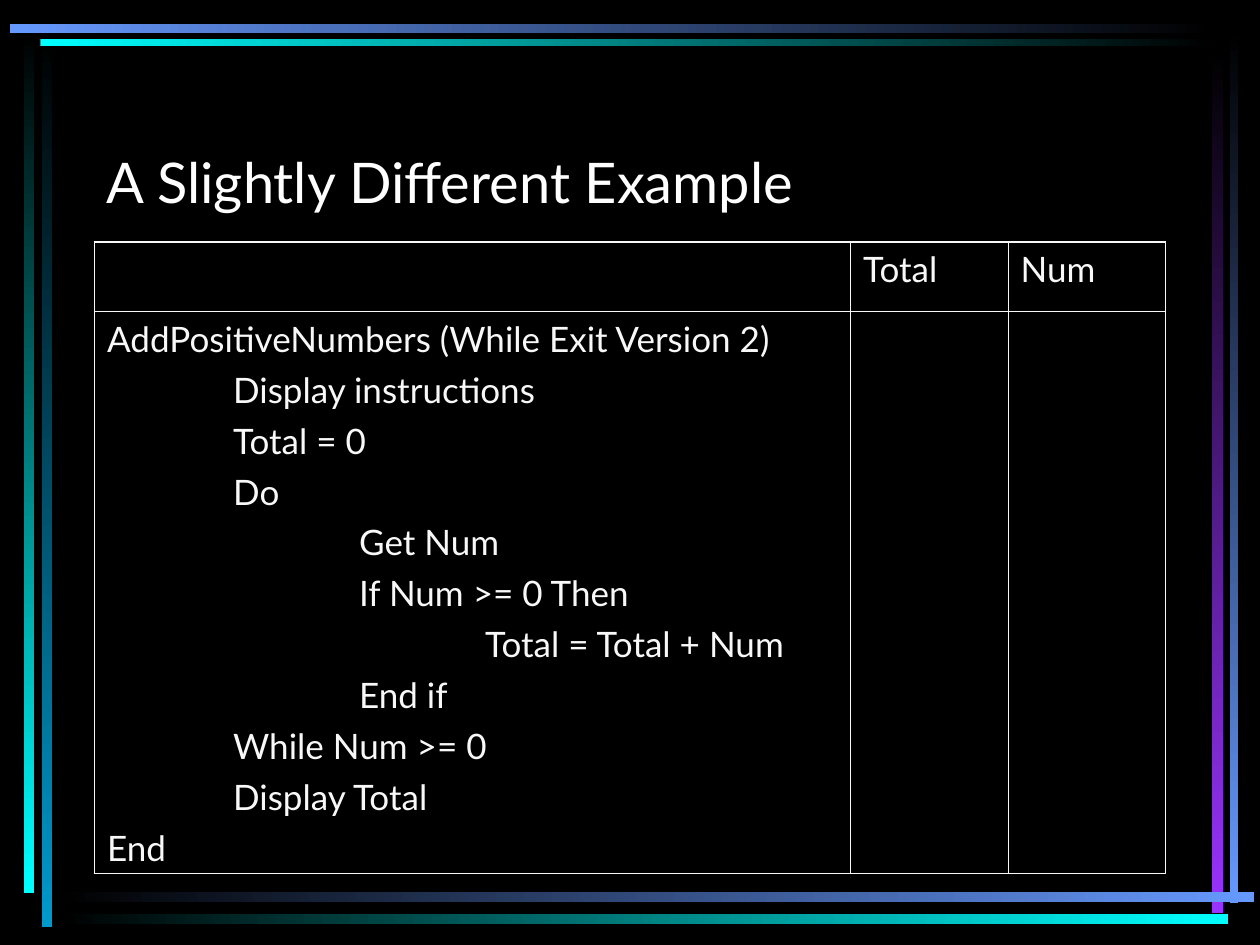
"""Build the pseudocode trace slide with its glowing frame."""
from dataclasses import dataclass

from lxml.etree import SubElement as Sub
from pptx import Presentation
from pptx.dml.color import RGBColor as Rgb
from pptx.enum.shapes import MSO_SHAPE as Kind
from pptx.enum.text import MSO_ANCHOR as Anchor
from pptx.oxml.ns import qn
from pptx.util import Inches, Pt


@dataclass(frozen=True)
class Theme:
    font: str = "Lato"
    back: str = "000000"
    white: str = "FFFFFF"
    text: str = "F8F8F8"
    cyan: str = "00FFFF"
    teal: str = "0099CC"
    blue: str = "6699FF"
    plum: str = "9933FF"
    head: float = 32
    body: float = 20
    gap: float = 5
    thick: float = 1.08
    thin: float = 0.45


@dataclass(frozen=True)
class Bar:
    left: float
    top: float
    width: float
    height: float
    start: str
    end: str


LOOK = Theme()
BARS = [
    Bar(0.33, 0.28, 0.08, 7.08, LOOK.back, LOOK.teal),
    Bar(0.19, 0.25, 0.08, 6.84, LOOK.back, LOOK.cyan),
    Bar(9.76, 0.24, 0.07, 6.93, LOOK.back, LOOK.blue),
    Bar(9.62, 0.42, 0.09, 6.83, LOOK.back, LOOK.plum),
    Bar(0.45, 7.08, 9.5, 0.08, LOOK.back, LOOK.blue),
    Bar(0.45, 7.25, 9.3, 0.08, LOOK.back, LOOK.cyan),
    Bar(0.32, 0.31, 9.32, 0.06, LOOK.cyan, LOOK.back),
    Bar(0.08, 0.19, 9.56, 0.07, LOOK.blue, LOOK.back),
]
CODE = """AddPositiveNumbers (While Exit Version 2)
\tDisplay instructions
\tTotal = 0
\tDo
\t\tGet Num
\t\tIf Num >= 0 Then
\t\t\tTotal = Total + Num
\t\tEnd if
\tWhile Num >= 0
\tDisplay Total
End"""
ROWS = [["", "Total", "Num"], [CODE, "", ""]]
WIDTHS = [6, 1.25, 1.25]
HEIGHTS = [0.55, 4.46]


def draw_bar(slide, bar: Bar) -> None:
    shape = slide.shapes.add_shape(
        Kind.RECTANGLE, Inches(bar.left), Inches(bar.top),
        Inches(bar.width), Inches(bar.height))
    shape.shadow.inherit = False
    shape.line.fill.background()
    shape.fill.gradient()
    shape.fill.gradient_angle = 270 if bar.height > bar.width else 0
    for stop, tint in zip(shape.fill.gradient_stops, (bar.start, bar.end)):
        stop.color.rgb = Rgb.from_string(tint)


def style(para, size: float, tint: str) -> None:
    for run in para.runs:
        run.font.name = LOOK.font
        run.font.size = Pt(size)
        run.font.color.rgb = Rgb.from_string(tint)


def draw_title(slide, text: str) -> None:
    box = slide.shapes.add_textbox(
        Inches(0.75), Inches(0.67), Inches(8.5), Inches(1.08))
    frame = box.text_frame
    frame.word_wrap = True
    frame.vertical_anchor = Anchor.BOTTOM
    frame.text = text
    style(frame.paragraphs[0], LOOK.head, LOOK.white)


def add_tabs(para) -> None:
    tabs = Sub(para._p.get_or_add_pPr(), qn("a:tabLst"))
    for inch in range(1, 4):
        Sub(tabs, qn("a:tab"), pos=str(Inches(inch)), algn="l")


def edge(cell, side: str, outer: bool) -> None:
    width = Pt(LOOK.thick if outer else LOOK.thin)
    line = Sub(cell._tc.get_or_add_tcPr(), qn(f"a:ln{side}"), w=str(width))
    Sub(Sub(line, qn("a:solidFill")), qn("a:srgbClr"), val=LOOK.text)


def fill_cell(cell, text: str, row: int, col: int) -> None:
    outer = {"L": col == 0, "R": col == len(WIDTHS) - 1,
             "T": row == 0, "B": row == len(HEIGHTS) - 1}
    for side, flag in outer.items():
        edge(cell, side, flag)
    cell.fill.background()
    if not text:
        return
    cell.text_frame.text = text
    for num, para in enumerate(cell.text_frame.paragraphs):
        if "\t" in text:
            add_tabs(para)
        if num:
            para.space_before = Pt(LOOK.gap)
        style(para, LOOK.body, LOOK.text)


def draw_table(slide) -> None:
    table = slide.shapes.add_table(
        len(HEIGHTS), len(WIDTHS), Inches(0.75), Inches(1.92),
        Inches(sum(WIDTHS)), Inches(sum(HEIGHTS))).table
    table.first_row = table.horz_banding = False
    for col, width in zip(table.columns, WIDTHS):
        col.width = Inches(width)
    for row, height in zip(table.rows, HEIGHTS):
        row.height = Inches(height)
    for row, texts in enumerate(ROWS):
        for col, text in enumerate(texts):
            fill_cell(table.cell(row, col), text, row, col)


def main() -> None:
    deck = Presentation()
    deck.slide_width, deck.slide_height = Inches(10), Inches(7.5)
    slide = deck.slides.add_slide(deck.slide_layouts[6])
    slide.background.fill.solid()
    slide.background.fill.fore_color.rgb = Rgb.from_string(LOOK.back)
    for bar in BARS:
        draw_bar(slide, bar)
    draw_title(slide, "A Slightly Different Example")
    draw_table(slide)
    deck.save("out.pptx")


if __name__ == "__main__":
    main()
